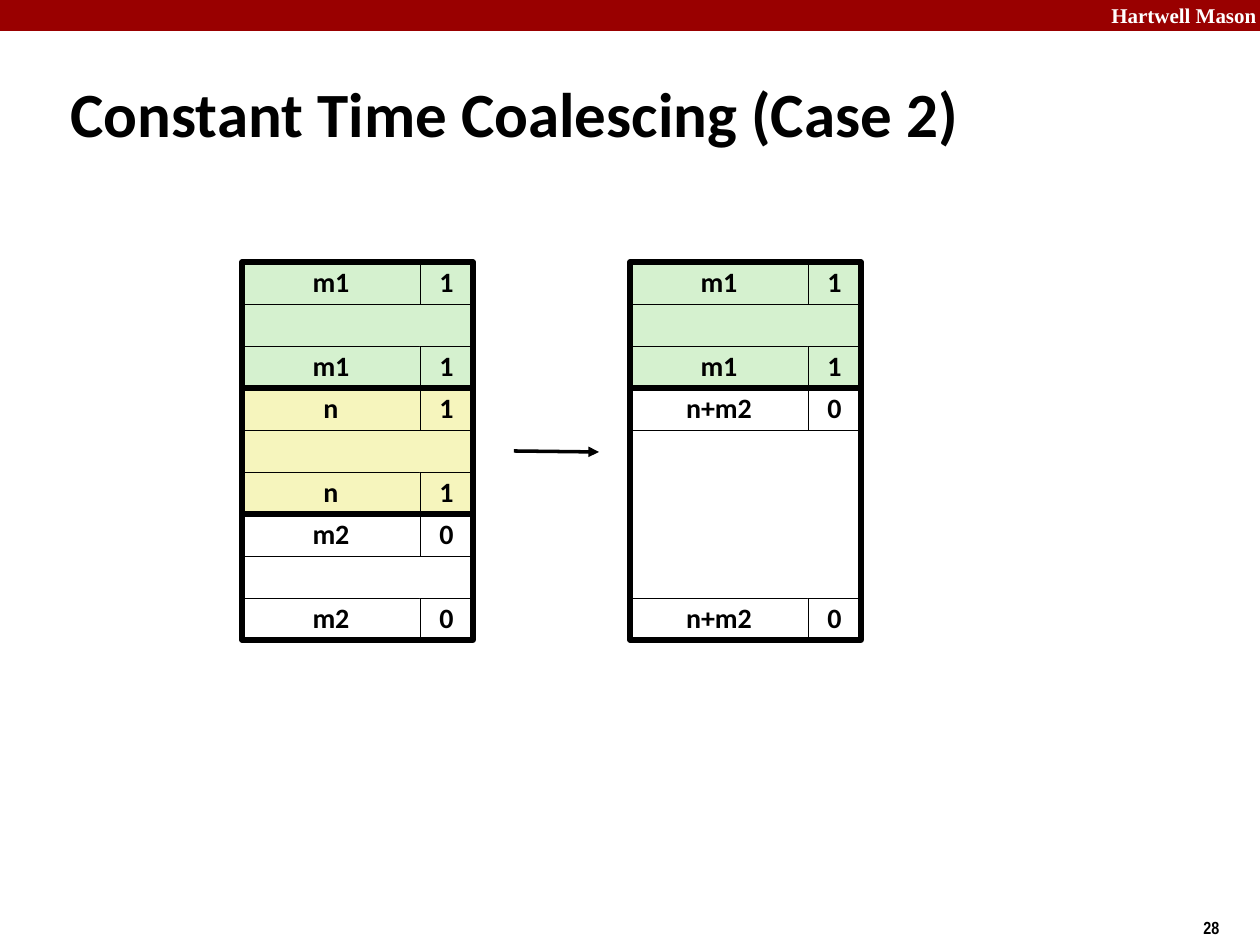
from lxml import etree
from pptx import Presentation
from pptx.dml.color import RGBColor
from pptx.enum.shapes import MSO_CONNECTOR, MSO_SHAPE
from pptx.enum.text import MSO_ANCHOR, MSO_AUTO_SIZE, PP_ALIGN
from pptx.oxml.ns import qn
from pptx.util import Emu, Pt

RECTANGLE = MSO_SHAPE.RECTANGLE
STRAIGHT = MSO_CONNECTOR.STRAIGHT
TOP, MIDDLE = MSO_ANCHOR.TOP, MSO_ANCHOR.MIDDLE
LEFT, CENTER, RIGHT = PP_ALIGN.LEFT, PP_ALIGN.CENTER, PP_ALIGN.RIGHT

BLACK = RGBColor(0x00, 0x00, 0x00)
WHITE = RGBColor(0xFF, 0xFF, 0xFF)
RED = RGBColor(0x99, 0x00, 0x00)
GREEN = RGBColor(0xD5, 0xF1, 0xCF)
YELLOW = RGBColor(0xF6, 0xF5, 0xBD)

PX = 914400 / 126
SIZE_WIDTH, FLAG_WIDTH, ROW = 178, 53, 42
BLOCK_WIDTH = SIZE_WIDTH + FLAG_WIDTH
HEAP_TOP = 262

deck = Presentation()
deck.slide_width, deck.slide_height = Emu(round(1260 * PX)), Emu(round(945 * PX))
page = deck.slides.add_slide(deck.slide_layouts[5])


def write(box, text, font, size, color=BLACK, align=LEFT, anchor=TOP, spacing=1.0):
    frame = box.text_frame
    frame_format = {"auto_size": MSO_AUTO_SIZE.NONE, "word_wrap": True, "vertical_anchor": anchor}
    for name, value in frame_format.items():
        setattr(frame, name, value)
    para = frame.paragraphs[0]
    para.alignment, para.line_spacing = align, spacing
    span = para.add_run()
    span.text = text
    for name, value in {"name": font, "size": Pt(size), "bold": True}.items():
        setattr(span.font, name, value)
    span.font.color.rgb = color


def add_box(left, top, width, height, fill=None, line_width=None):
    """Add a rectangle in px; no fill or line width means none is drawn."""
    box = page.shapes.add_shape(RECTANGLE, *[Emu(round(v * PX)) for v in (left, top, width, height)])
    box.shadow.inherit = False
    if fill is None:
        box.fill.background()
    else:
        box.fill.solid()
        box.fill.fore_color.rgb = fill
    if line_width is None:
        box.line.fill.background()
    else:
        box.line.color.rgb = BLACK
        box.line.width = Pt(line_width)
    return box


# Banner, title and page number
add_box(0, 0, 1260, 31, RED)
labels = [
    ((1089, -4, 180, 38), "Hartwell Mason", "Times New Roman", 12, WHITE, RIGHT),
    ((1191, 911, 69, 34), "28", "Arial Narrow", 10, BLACK, LEFT),
]
for place, *text_format in labels:
    box = page.shapes.add_textbox(*[Emu(round(v * PX)) for v in place])
    write(box, *text_format)

title = page.shapes.title
for name, value in {"left": 58, "top": 73, "width": 1144, "height": 79}.items():
    setattr(title, name, Emu(round(value * PX)))
write(title, "Constant Time Coalescing (Case 2)", "Calibri", 36, anchor=MIDDLE)

# Heaps before and after: (rows, fill, size, allocated flag) of each block
heaps = {
    242: [(3, GREEN, "m1", "1"), (3, YELLOW, "n", "1"), (3, WHITE, "m2", "0")],
    630: [(3, GREEN, "m1", "1"), (6, WHITE, "n+m2", "0")],
}
for left, blocks in heaps.items():
    top = HEAP_TOP
    for rows, fill, size, flag in blocks:
        height = rows * ROW
        add_box(left, top + ROW, BLOCK_WIDTH, height - 2 * ROW, fill, 0.25)
        for tag_top in (top, top + height - ROW):
            size_cell = add_box(left, tag_top, SIZE_WIDTH, ROW, fill, 0.25)
            flag_cell = add_box(left + SIZE_WIDTH, tag_top, FLAG_WIDTH, ROW, fill, 0.25)
            for cell, text in ((size_cell, size), (flag_cell, flag)):
                write(cell, text, "Calibri", 16, align=CENTER, anchor=MIDDLE, spacing=0.98)
        add_box(left, top, BLOCK_WIDTH, height, line_width=3)
        top += height

# Arrow from before to after
arrow = page.shapes.add_connector(STRAIGHT, *[Emu(round(v * PX)) for v in (514, 451, 599, 452)])
arrow.line.color.rgb = BLACK
arrow.line.width = Pt(2)
etree.SubElement(arrow.line._get_or_add_ln(), qn("a:tailEnd"), type="triangle")
etree.SubElement(arrow._element.spPr, qn("a:effectLst"))

deck.save("out.pptx")
